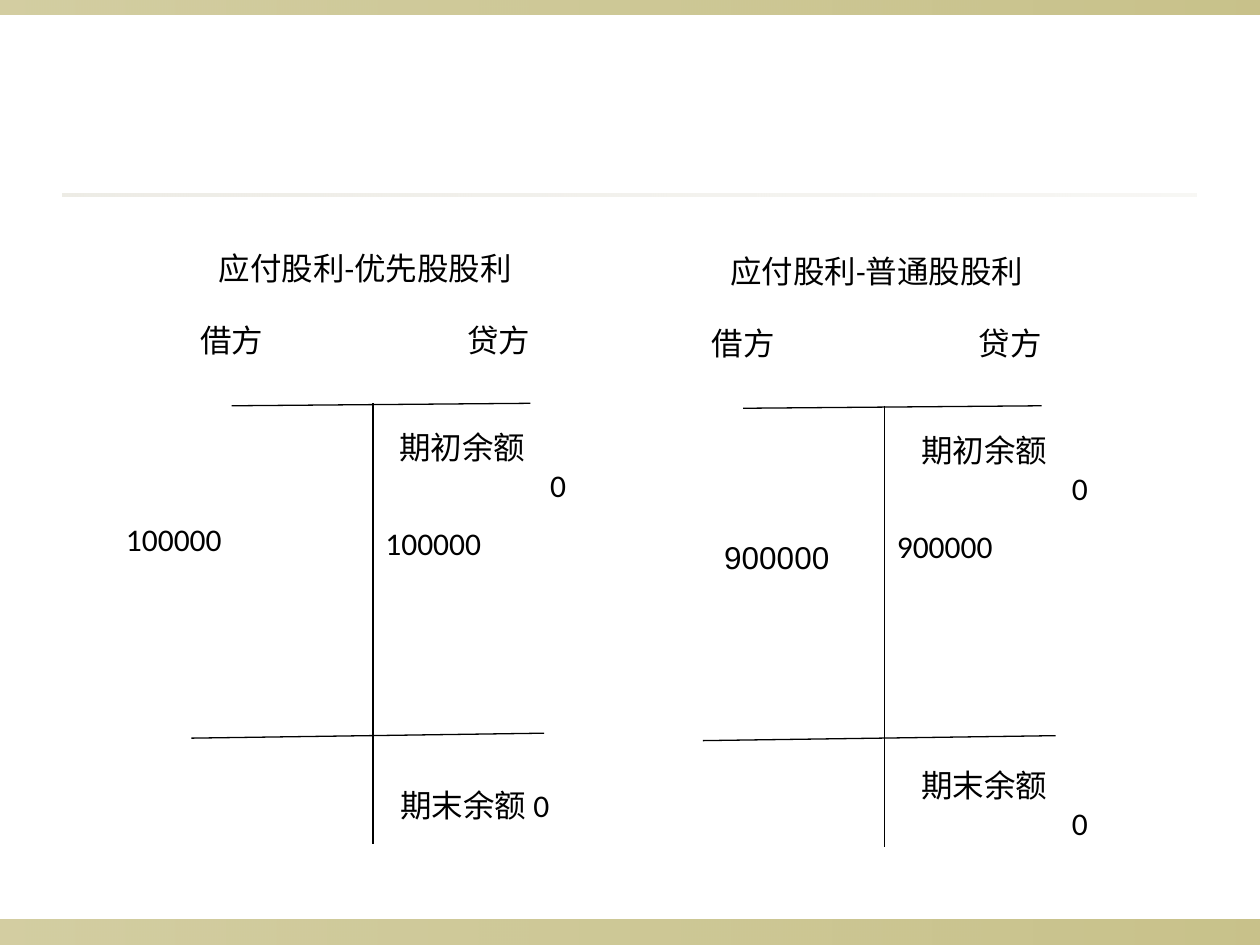
"""Build a slide with two dividend payable T-accounts."""
import dataclasses

import pptx
import pptx.dml.color
import pptx.enum.shapes
import pptx.enum.text
import pptx.oxml
import pptx.oxml.ns
import pptx.util
from pptx.util import Cm

ALIGN = pptx.enum.text.PP_ALIGN
RECT = pptx.enum.shapes.MSO_SHAPE.RECTANGLE


@dataclasses.dataclass(frozen=True)
class Theme:
    ink: str = "000000"
    paper: str = "FFFFFF"
    bar: str = "918415"
    rule: str = "DCD9CC"
    font: str = "Calibri"
    alt_font: str = "Arial"
    size: float = 18
    line: float = 0.75


def rgb(value):
    return pptx.dml.color.RGBColor.from_string(value)


class Builder:
    def __init__(self, slide, theme):
        self.s = slide
        self.theme = theme

    def band(self, x, y, w, h, color, alphas):
        sp = self.s.shapes.add_shape(RECT, Cm(x), Cm(y), Cm(w), Cm(h))
        sp.shadow.inherit = False
        sp.line.fill.background()
        sp.fill.gradient()
        sp.fill.gradient_angle = 0
        for stop in sp.fill.gradient_stops:
            stop.color.rgb = rgb(color)
        colors = sp._element.spPr.iter(pptx.oxml.ns.qn("a:srgbClr"))
        for clr, alpha in zip(colors, alphas):
            node = pptx.oxml.parse_xml(f'<a:alpha {pptx.oxml.ns.nsdecls("a")}/>')
            node.set("val", str(alpha * 1000))
            clr.append(node)

    def add_text(self, p, text, align, indent=0, font=None):
        p.alignment = align
        if indent:
            p._p.get_or_add_pPr().set("marL", str(Cm(indent)))
        r = p.add_run()
        r.text = text
        r.font.name = font or self.theme.font
        r.font.size = pptx.util.Pt(self.theme.size)
        r.font.color.rgb = rgb(self.theme.ink)

    def box(self, x, y, w, h, text, indent=0, font=None):
        sp = self.s.shapes.add_shape(RECT, Cm(x), Cm(y), Cm(w), Cm(h))
        sp.shadow.inherit = False
        sp.fill.solid()
        sp.fill.fore_color.rgb = rgb(self.theme.paper)
        sp.line.color.rgb = rgb(self.theme.paper)
        sp.line.width = pptx.util.Pt(self.theme.line)
        tf = sp.text_frame
        tf.word_wrap = True
        tf.vertical_anchor = pptx.enum.text.MSO_ANCHOR.TOP
        self.add_text(tf.paragraphs[0], text, ALIGN.JUSTIFY, indent, font)
        return tf

    def balance(self, x, y, label, amount):
        tf = self.box(x, y, 3.99, 1.68, label, indent=0.13)
        self.add_text(tf.add_paragraph(), amount, ALIGN.RIGHT)

    def label(self, x, y, w, h, text):
        tf = self.s.shapes.add_textbox(Cm(x), Cm(y), Cm(w), Cm(h)).text_frame
        tf.word_wrap = False
        tf.auto_size = pptx.enum.text.MSO_AUTO_SIZE.SHAPE_TO_FIT_TEXT
        self.add_text(tf.paragraphs[0], text, ALIGN.LEFT)

    def line(self, x1, y1, x2, y2):
        c = self.s.shapes.add_connector(
            pptx.enum.shapes.MSO_CONNECTOR.STRAIGHT, Cm(x1), Cm(y1), Cm(x2), Cm(y2))
        c.line.color.rgb = rgb(self.theme.ink)
        c.line.width = pptx.util.Pt(self.theme.line)
        c._element.spPr.append(
            pptx.oxml.parse_xml(f'<a:effectLst {pptx.oxml.ns.nsdecls("a")}/>'))

    def account(self, dx, dy, title, credit, opening_x):
        self.balance(opening_x, 8.51 + dy, "期初余额", "0")
        self.box(7.52 + dx, 10.44 + dy, 4.72, 2.92, credit)
        self.box(3.6 + dx, 4.9 + dy, 7.8, 1.12, title, indent=0.56)
        self.box(3.79 + dx, 6.35 + dy, 2.26, 0.94, "借方")
        self.box(9.17 + dx, 6.35 + dy, 2.36, 0.94, "贷方")
        for x1, y1, x2, y2 in ((4.67, 8.18, 10.69, 8.13),
                               (3.86, 14.88, 10.97, 14.78),
                               (7.52, 8.13, 7.52, 17.02)):
            self.line(x1 + dx, y1 + dy, x2 + dx, y2 + dy)


def main():
    prs = pptx.Presentation()
    prs.slide_width, prs.slide_height = Cm(25.4), Cm(19.05)
    theme = Theme()
    b = Builder(prs.slides.add_slide(prs.slide_layouts[6]), theme)

    b.band(0, 18.54, 25.4, 0.51, theme.bar, (40, 50))
    b.band(0, 0, 25.4, 0.3, theme.bar, (40, 50))
    b.band(1.27, 3.91, 22.86, 0.05, theme.rule, (50, 20))

    b.account(10.31, 0.05, "应付股利-普通股股利", "900000", 18.19)
    b.box(12.95, 10.72, 4.37, 1.45, "900000", indent=1.4, font=theme.alt_font)
    b.balance(18.19, 15.32, "期末余额", "0")

    b.account(0, 0, "应付股利-优先股股利", "100000", 7.67)
    b.box(2.29, 10.36, 4.72, 2.92, "100000")
    b.label(7.82, 15.72, 3.66, 1.02, "期末余额 0")

    prs.save("out.pptx")


if __name__ == "__main__":
    main()
